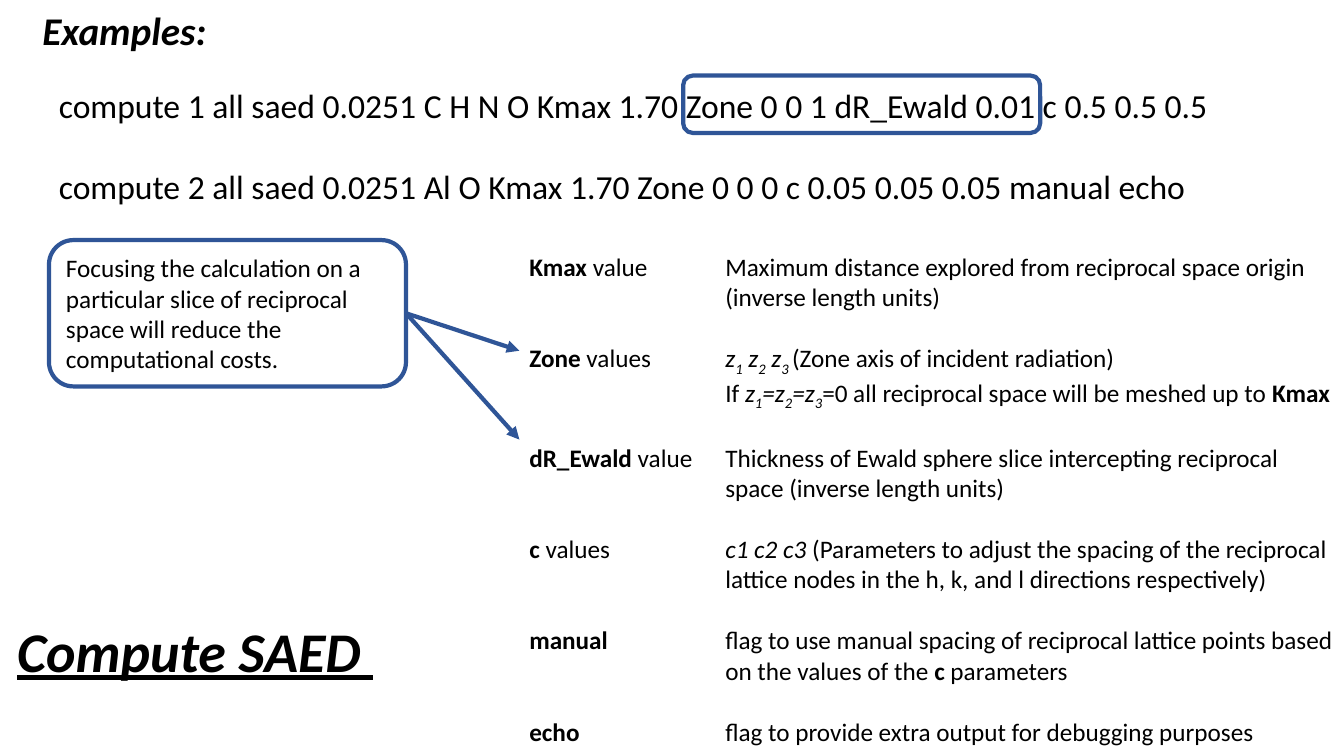
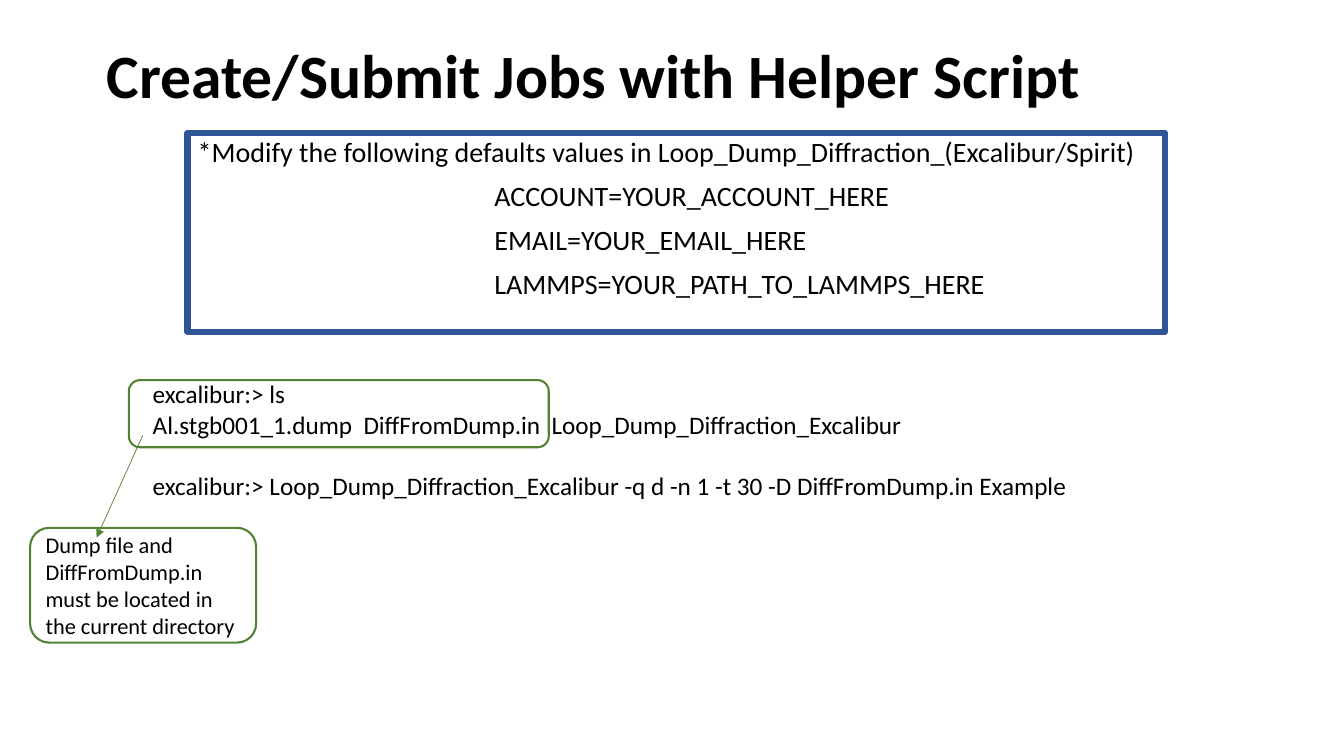
from dataclasses import dataclass

import lxml.etree
import pptx
import pptx.dml.color
import pptx.enum.shapes
import pptx.enum.text
import pptx.oxml.ns
import pptx.util

Pt = pptx.util.Pt
Shape = pptx.enum.shapes.MSO_SHAPE
Anchor = pptx.enum.text.MSO_ANCHOR

BLACK = pptx.dml.color.RGBColor(0x00, 0x00, 0x00)
BLUE = pptx.dml.color.RGBColor(0x2F, 0x55, 0x97)
GREEN = pptx.dml.color.RGBColor(0x54, 0x82, 0x35)
FONT = "Calibri"
TIGHT = 0.9  # line spacing of placeholders
ROW_GAP = 22  # one line of 18 pt text


@dataclass(frozen=True)
class Span:
    text: str
    bold: bool = False
    italic: bool = False
    underline: bool = False
    subscript: bool = False


@dataclass(frozen=True)
class Para:
    spans: tuple[Span, ...]
    before: float = 0
    margin: float = 0
    indent: float = 0


@dataclass(frozen=True)
class Area:
    left: float
    top: float
    width: float
    height: float

    def lengths(self) -> tuple:
        return Pt(self.left), Pt(self.top), Pt(self.width), Pt(self.height)


@dataclass(frozen=True)
class Outline:
    color: pptx.dml.color.RGBColor
    width: float


BLUE_OUTLINE = Outline(BLUE, 3)
BLUE_FRAME = Outline(BLUE, 4.5)
GREEN_OUTLINE = Outline(GREEN, 1.5)
GREEN_ARROW = Outline(GREEN, 0.5)


def plain(text: str, before: float = 0, margin: float = 0) -> Para:
    return Para((Span(text),), before, margin)


def bold(text: str) -> Span:
    return Span(text, bold=True)


def italic(text: str) -> Span:
    return Span(text, italic=True)


def subscript(text: str) -> Span:
    return Span(text, italic=True, subscript=True)


def add_child(parent, tag: str, **attributes: str) -> None:
    lxml.etree.SubElement(parent, pptx.oxml.ns.qn(tag), attributes)


def write(box, paras: list[Para], size: float, spacing: float = 1,
          anchor: Anchor = Anchor.TOP) -> None:
    """Fill a shape with left-aligned, unbulleted text."""
    frame = box.text_frame
    frame.word_wrap = True
    frame.auto_size = pptx.enum.text.MSO_AUTO_SIZE.NONE
    frame.vertical_anchor = anchor
    for index, para in enumerate(paras):
        paragraph = frame.add_paragraph() if index else frame.paragraphs[0]
        properties = paragraph._p.get_or_add_pPr()
        properties.set("marL", str(Pt(para.margin)))
        properties.set("indent", str(Pt(para.indent)))
        add_child(properties, "a:buNone")
        paragraph.alignment = pptx.enum.text.PP_ALIGN.LEFT
        paragraph.line_spacing = spacing
        paragraph.space_before = Pt(para.before)
        for span in para.spans:
            run = paragraph.add_run()
            run.text = span.text
            font = run.font
            font.name, font.size = FONT, Pt(size)
            font.bold, font.italic = span.bold, span.italic
            font.underline = span.underline
            font.color.rgb = BLACK
            if span.subscript:
                run._r.get_or_add_rPr().set("baseline", "-25000")


def place(box, area: Area) -> None:
    box.left, box.top, box.width, box.height = area.lengths()


def draw_outline(line, outline: Outline) -> None:
    line.color.rgb = outline.color
    line.width = Pt(outline.width)


def fill_placeholder(box, area: Area, paras: list[Para], size: float,
                     anchor: Anchor = Anchor.TOP) -> None:
    place(box, area)
    write(box, paras, size, TIGHT, anchor)


def add_text(page, area: Area, paras: list[Para], size: float) -> None:
    write(page.shapes.add_textbox(*area.lengths()), paras, size)


def add_rounded_box(page, area: Area, outline: Outline,
                    text: str = "", size: float = 18):
    box = page.shapes.add_shape(Shape.ROUNDED_RECTANGLE, *area.lengths())
    box.shadow.inherit = False
    box.fill.background()
    draw_outline(box.line, outline)
    if text:
        write(box, [plain(text)], size, anchor=Anchor.MIDDLE)
    return box


def add_arrow(page, start: tuple[float, float], end: tuple[float, float],
              outline: Outline):
    arrow = page.shapes.add_connector(
        pptx.enum.shapes.MSO_CONNECTOR.STRAIGHT,
        *(Pt(value) for value in start + end))
    draw_outline(arrow.line, outline)
    properties = arrow._element.spPr
    add_child(properties.find(pptx.oxml.ns.qn("a:ln")), "a:tailEnd", type="triangle")
    add_child(properties, "a:effectLst")
    return arrow


def parameter(*spans: Span, before: float = ROW_GAP) -> Para:
    """A name, a tab, and a description hanging in the second column."""
    return Para(spans, before, margin=140, indent=-140)


def build_saed_page(page) -> None:
    # Title and heading
    fill_placeholder(
        page.shapes.title, Area(5, 442, 403, 88),
        [Para((Span("Compute SAED ", bold=True, italic=True, underline=True),))], 40)
    fill_placeholder(
        page.placeholders[1], Area(23, 5, 868, 460),
        [Para((Span("Examples:", bold=True, italic=True),))], 28)

    # Parameter list
    add_text(page, Area(371, 176, 589, 364), [
        parameter(
            bold("Kmax"),
            Span(" value \tMaximum distance explored from reciprocal space origin "
                 "(inverse length units)"), before=0),
        parameter(
            bold("Zone"), Span(" values \t"),
            italic("z"), subscript("1"), italic(" z"), subscript("2"),
            italic(" z"), subscript("3 "),
            Span("(Zone axis of incident radiation)")),
        Para((
            Span("If "), italic("z"), subscript("1"), italic("=z"), subscript("2"),
            italic("=z"), subscript("3"),
            Span("=0 all reciprocal space will be meshed up to "), bold("Kmax")),
            margin=140),
        parameter(
            bold("dR_Ewald"),
            Span(" value \tThickness of Ewald sphere slice intercepting reciprocal "
                 "space (inverse length units)")),
        parameter(
            bold("c"), Span(" values \t"), italic("c1 c2 c3 "),
            Span("(Parameters to adjust the spacing of the reciprocal lattice nodes "
                 "in the h, k, and l directions respectively)")),
        parameter(
            bold("manual\t"),
            Span("flag to use manual spacing of reciprocal lattice points "
                 "based on the values of the "),
            bold("c"), Span(" parameters")),
        parameter(
            bold("echo\t"),
            Span("flag to provide extra output for debugging purposes")),
    ], 18)

    # Example commands
    add_text(page, Area(35, 57, 873, 94), [
        plain("compute 1 all saed 0.0251 C H N O Kmax 1.70 Zone 0 0 1 "
              "dR_Ewald 0.01 c 0.5 0.5 0.5"),
        plain("compute 2 all saed 0.0251 Al O Kmax 1.70 Zone 0 0 0 "
              "c 0.05 0.05 0.05 manual echo", before=29),
    ], 24)

    # Highlight, and the note that points at two parameters
    add_rounded_box(page, Area(488, 54, 255, 41), BLUE_OUTLINE)
    note = add_rounded_box(
        page, Area(35, 171.5, 255, 104.5), BLUE_OUTLINE,
        "Focusing the calculation on a particular slice of reciprocal space "
        "will reduce the computational costs.")
    for target_top in (250.5, 314):
        arrow = add_arrow(page, (290, 224), (371, target_top), BLUE_OUTLINE)
        arrow.begin_connect(note, 3)


def build_jobs_page(page) -> None:
    # Title and framed defaults
    fill_placeholder(
        page.shapes.title, Area(69, 24.5, 828, 63),
        [Para((bold("Create/Submit Jobs with Helper Script"),))], 44, Anchor.MIDDLE)
    defaults = page.placeholders[1]
    settings = ("ACCOUNT=YOUR_ACCOUNT_HERE", "EMAIL=YOUR_EMAIL_HERE",
                "LAMMPS=YOUR_PATH_TO_LAMMPS_HERE")
    fill_placeholder(
        defaults, Area(134, 95, 698, 142),
        [plain("*Modify the following defaults values in "
               "Loop_Dump_Diffraction_(Excalibur/Spirit)"),
         *(plain(setting, before=10, margin=212) for setting in settings)], 20)
    draw_outline(defaults.line, BLUE_FRAME)

    # Terminal session
    add_text(page, Area(102, 267, 743, 138), [
        plain("excalibur:> ls"),
        plain("Al.stgb001_1.dump  DiffFromDump.in  Loop_Dump_Diffraction_Excalibur"),
        plain("excalibur:> Loop_Dump_Diffraction_Excalibur -q d -n 1 -t 30 "
              "-D DiffFromDump.in Example", before=ROW_GAP),
    ], 18)

    # Highlighted files and their note
    add_rounded_box(page, Area(92, 271.5, 300, 48), GREEN_OUTLINE)
    add_rounded_box(
        page, Area(21.5, 377, 161.5, 82), GREEN_OUTLINE,
        "Dump file and DiffFromDump.in must be located in the current directory", 16)
    add_arrow(page, (102, 311), (69, 384), GREEN_ARROW)


def main() -> None:
    deck = pptx.Presentation()
    deck.slide_width, deck.slide_height = Pt(960), Pt(540)
    for build in (build_saed_page, build_jobs_page):
        build(deck.slides.add_slide(deck.slide_layouts[1]))
    deck.save("out.pptx")


if __name__ == "__main__":
    main()
